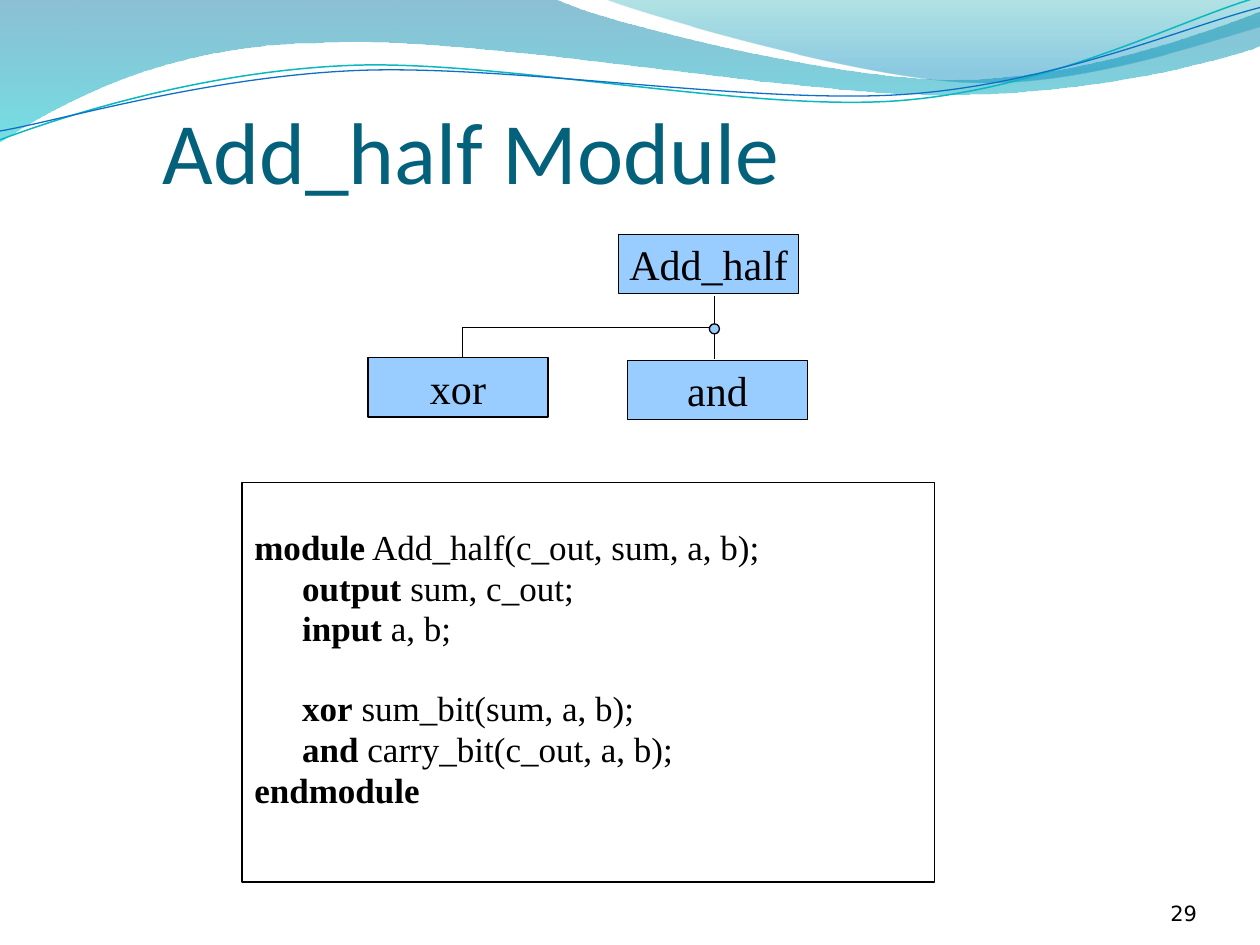
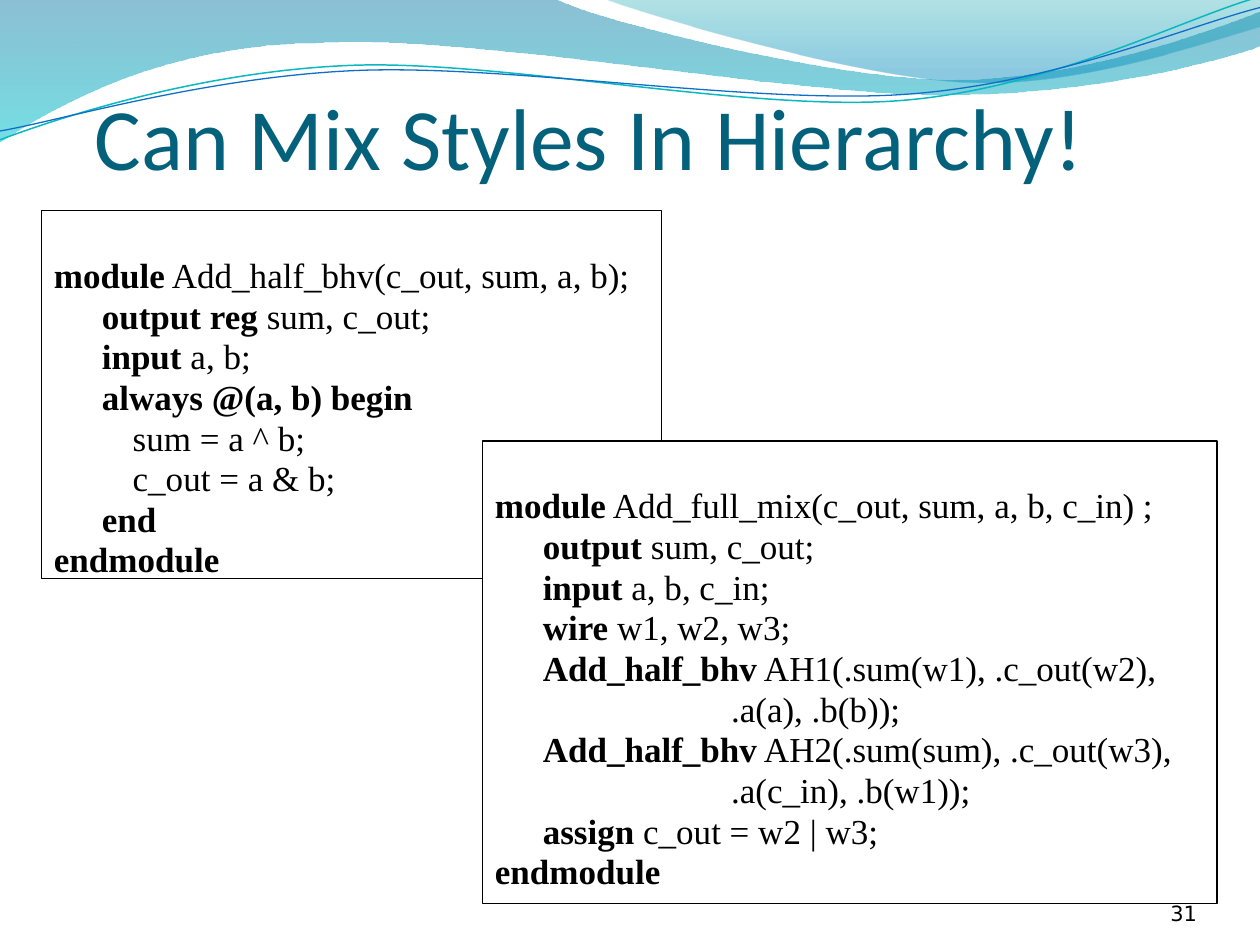
"""Build two slides on half adder modules and mixed-style hierarchy."""
from pptx import Presentation
from pptx.dml.color import RGBColor
from pptx.enum.shapes import MSO_CONNECTOR, MSO_SHAPE as SHAPE
from pptx.enum.text import MSO_ANCHOR as ANCHOR, MSO_AUTO_SIZE, PP_ALIGN as ALIGN
from pptx.oxml.ns import qn
from pptx.oxml.xmlchemy import OxmlElement
from pptx.util import Pt

PX = 9144
BLACK, WHITE, BLUE, TEAL = "000000", "FFFFFF", "99CCFF", "04617B"
SERIF = "Times New Roman"
rgb = RGBColor.from_string


def px(*values):
    return [v * PX for v in values]


def add_box(s, kind, at, fill=None):
    sp = s.shapes.add_shape(kind, *px(*at))
    sp.shadow.inherit = False
    if fill:
        sp.fill.solid()
        sp.fill.fore_color.rgb = rgb(fill)
    else:
        sp.fill.background()
    sp.line.color.rgb = rgb(BLACK)
    sp.line.width = Pt(0.75)
    return sp


prs = Presentation()
prs.slide_width, prs.slide_height = px(1000, 750)
layout = prs.slide_layouts[5]

pages = [
    ("Add_half Module", (129, 35, 675, 125), "29", [
        ((192, 383, 550, 317), None, [
            ("module", " Add_half(c_out, sum, a, b);"),
            ("\toutput", " sum, c_out;"),
            ("\tinput", " a, b;"),
            None,
            ("\txor", " sum_bit(sum, a, b);"),
            ("\tand", " carry_bit(c_out, a, b);"),
            ("endmodule", ""),
        ]),
    ]),
    ("Can Mix Styles In Hierarchy!", (75, 24, 833, 125), "31", [
        ((33, 167, 492, 292), None, [
            ("module", " Add_half_bhv(c_out, sum, a, b);"),
            ("\toutput reg", " sum, c_out;"),
            ("\tinput", " a, b;"),
            ("\talways @(a, b) begin", ""),
            ("", "         sum = a ^ b;"),
            ("", "         c_out = a & b;"),
            ("\tend", ""),
            ("endmodule", ""),
        ]),
        ((383, 350, 583, 367), WHITE, [
            ("module", " Add_full_mix(c_out, sum, a, b, c_in) ;"),
            ("\toutput", " sum, c_out;"),
            ("\tinput", " a, b, c_in;"),
            ("\twire", " w1, w2, w3;"),
            ("\tAdd_half_bhv", " AH1(.sum(w1), .c_out(w2),"),
            ("", "                           .a(a), .b(b));"),
            ("\tAdd_half_bhv", " AH2(.sum(sum), .c_out(w3),"),
            ("", "                           .a(c_in), .b(w1));"),
            ("\tassign", " c_out = w2 | w3;"),
            ("endmodule", ""),
        ]),
    ]),
]

for title, title_at, number, listings in pages:
    s = prs.slides.add_slide(layout)
    sp = s.shapes.title
    sp.left, sp.top, sp.width, sp.height = px(*title_at)
    tf = sp.text_frame
    tf.text = title
    tf.auto_size = MSO_AUTO_SIZE.NONE
    tf.vertical_anchor = ANCHOR.BOTTOM
    tf.margin_left, tf.margin_top, tf.margin_right, tf.margin_bottom = px(0, 5, 0, 0)
    p = tf.paragraphs[0]
    p.alignment = ALIGN.LEFT
    p.font.name, p.font.size = "Calibri", Pt(50)
    p.font.color.rgb = rgb(TEAL)

    tf = s.shapes.add_textbox(*px(867, 695, 83, 40)).text_frame
    tf.word_wrap = True
    tf.vertical_anchor = ANCHOR.BOTTOM
    tf.margin_left = tf.margin_top = tf.margin_right = tf.margin_bottom = 0
    p = tf.paragraphs[0]
    p.text = number
    p.alignment = ALIGN.RIGHT
    p.font.name, p.font.size = "DejaVu Sans", Pt(12)
    p.font.color.rgb = rgb(BLACK)

    for at, fill, lines in listings:
        tf = add_box(s, SHAPE.RECTANGLE, at, fill).text_frame
        tf.word_wrap = True
        tf.vertical_anchor = ANCHOR.TOP
        tf.margin_top = 34 * PX
        for i, line in enumerate(lines):
            if line is None:
                continue
            p = tf.add_paragraph() if i else tf.paragraphs[0]
            pPr = p._p.get_or_add_pPr()
            pPr.set("marL", str(38 * PX))
            pPr.set("indent", str(-38 * PX))
            p.alignment = ALIGN.LEFT
            p.line_spacing = 0.8 if i else 1.0
            if i:
                p.space_before = Pt(4 if lines[i - 1] else 26.5)
            p.font.name, p.font.size = SERIF, Pt(20)
            p.font.color.rgb = rgb(BLACK)
            for text, bold in zip(line, (True, False)):
                if text:
                    r = p.add_run()
                    r.text = text
                    r.font.bold = bold

s = prs.slides[0]
for x1, y1, x2, y2 in [(567, 235, 567, 285), (367, 294, 367, 260), (567, 260, 367, 260)]:
    line = s.shapes.add_connector(MSO_CONNECTOR.STRAIGHT, *px(x1, y1, x2, y2))
    line.line.color.rgb = rgb(BLACK)
    line.line.width = Pt(0.75)
    line._element.spPr.append(OxmlElement("a:effectLst"))
add_box(s, SHAPE.OVAL, (563, 257, 8, 8), BLUE)
for name, x, y in [("Add_half", 491, 186), ("and", 498, 286), ("xor", 292, 284)]:
    tf = add_box(s, SHAPE.RECTANGLE, (x, y, 143, 47), BLUE).text_frame
    tf.word_wrap = False
    tf.vertical_anchor = ANCHOR.MIDDLE
    p = tf.paragraphs[0]
    p.text = name
    p.alignment = ALIGN.CENTER
    p.font.name, p.font.size = SERIF, Pt(24)
    p.font.color.rgb = rgb(BLACK)

waves = [
    ([(0, "0074A1", 45), (1, "00C6CF", 55)], None,
     [(0, -1), (440, -1), (476, 17, 664, 63, 758, 63), (853, 63, 958, 26, 1000, 9),
      (1001, 36), (983, 44, 870, 76, 746, 75), (622, 75, 382, 28, 257, 34),
      (129, 35, 46, 83, -1, 113), (0, -1)]),
    ([(0, "00A1A9", 30), (0.8, "008BBF", 45)], None,
     [(479, -1), (509, 11, 682, 62, 769, 65), (856, 69, 961, 32, 1000, 21),
      (1000, 0), (479, -1)]),
    (None, ("0AB8BF", 0.85),
     [(0, 111), (48, 93, 158, 57, 277, 52), (395, 47, 593, 89, 713, 80),
      (833, 71, 938, 15, 998, -2)]),
    (None, ("0F6FC6", 0.75),
     [(0, 104), (47, 96, 164, 61, 283, 56), (403, 51, 597, 83, 717, 75),
      (836, 67, 941, 21, 1000, 6)]),
]
for i, (stops, stroke, outline) in enumerate(waves):
    builder = s.shapes.build_freeform(*px(*outline[0]))
    for seg in outline[1:]:
        points = [px(*seg[k:k + 2]) for k in range(0, len(seg), 2)]
        builder.add_line_segments(points, close=False)
    if stops:
        builder.add_line_segments([], close=True)
    sp = builder.convert_to_shape()
    segments = iter(list(sp._element.iter(qn("a:lnTo"))))
    for seg in outline[1:]:
        group = [next(segments) for k in range(len(seg) // 2)]
        if len(group) == 3:
            curve = OxmlElement("a:cubicBezTo")
            group[0].addprevious(curve)
            for ln in group:
                curve.append(ln[0])
                ln.getparent().remove(ln)
    sp.shadow.inherit = False
    if stops:
        sp.fill.gradient()
        sp.fill.gradient_angle = 270
        for stop, (position, color, opacity) in zip(sp.fill.gradient_stops, stops):
            stop.position = position
            stop.color.rgb = rgb(color)
        for clr, (position, color, opacity) in zip(sp._element.iter(qn("a:srgbClr")), stops):
            alpha = OxmlElement("a:alpha")
            alpha.set("val", str(opacity * 1000))
            clr.append(alpha)
        sp.line.fill.background()
    else:
        sp.fill.background()
        sp.line.color.rgb = rgb(stroke[0])
        sp.line.width = Pt(stroke[1])
    sp._element.nvSpPr.cNvPr.set("id", str(100 + i))
    layout.shapes.element.insert(2 + i, sp._element)

prs.save("out.pptx")
